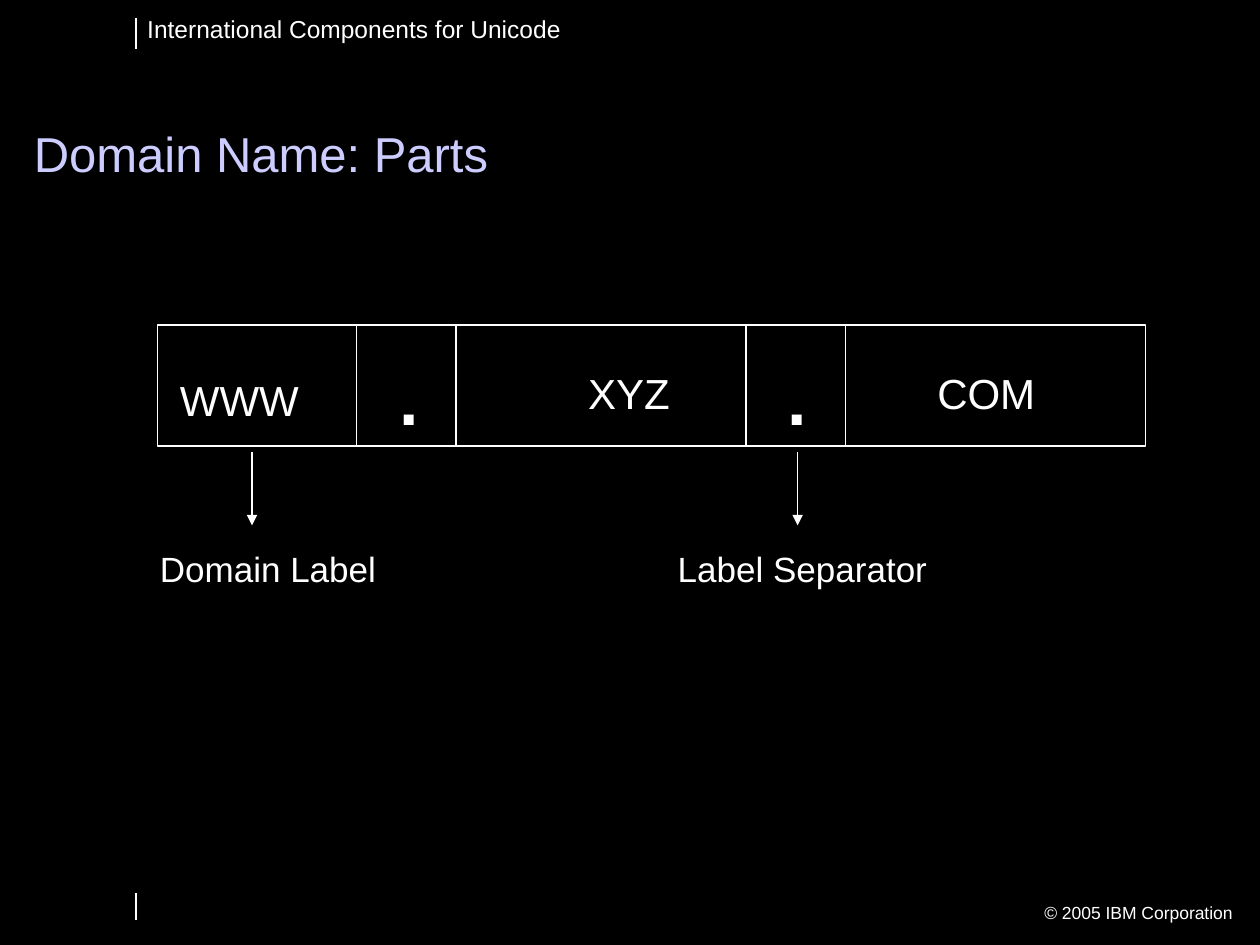
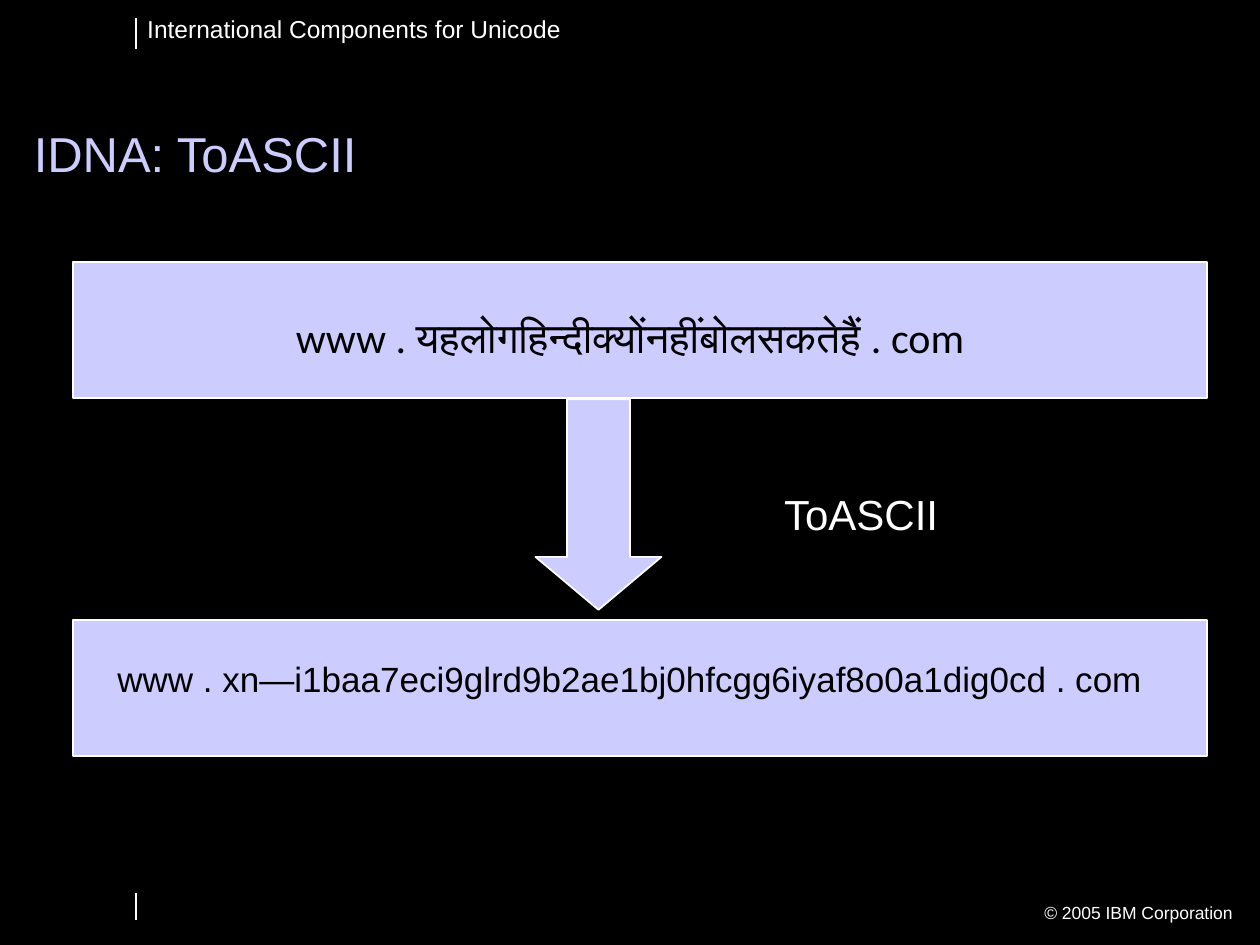
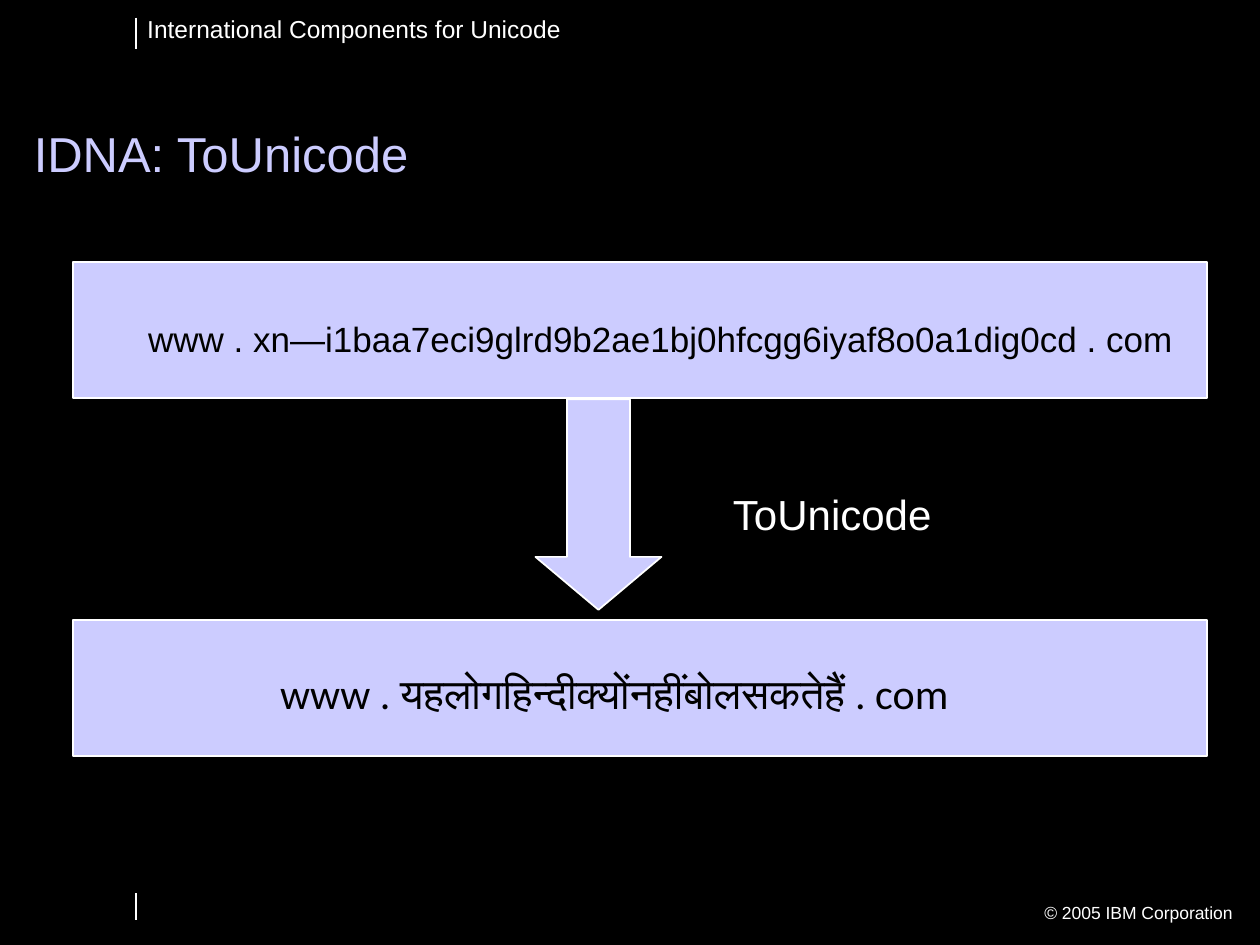
from typing import NamedTuple

from lxml.etree import SubElement
from pptx import Presentation
from pptx.dml.color import RGBColor
from pptx.enum.shapes import MSO_CONNECTOR, MSO_SHAPE
from pptx.enum.text import MSO_ANCHOR, PP_ALIGN
from pptx.oxml.ns import qn
from pptx.shapes.autoshape import Shape
from pptx.slide import Slide
from pptx.util import Inches, Pt

HUES = {"black": "000000", "white": "FFFFFF", "lilac": "CCCCFF"}
LEFT, MID, RIGHT = PP_ALIGN.LEFT, PP_ALIGN.CENTER, PP_ALIGN.RIGHT
HINDI = "www . यहलोगहिन्दीक्योंनहींबोलसकतेहैं . com"
CODED = "www . xn—i1baa7eci9glrd9b2ae1bj0hfcgg6iyaf8o0a1dig0cd . com"


class Box(NamedTuple):
    left: float
    top: float
    width: float
    height: float


class Label(NamedTuple):
    text: str
    box: Box
    size: float = 24
    hue: str = "white"
    align: PP_ALIGN = LEFT
    font: str = "Arial"
    bold: bool = False
    wrap: bool = True
    fill: str = ""
    anchor: MSO_ANCHOR = MSO_ANCHOR.TOP
    lead: float = 1


class Rule(NamedTuple):
    left: float
    top: float
    end: float
    width: float = 0.75
    arrow: bool = False


class Change(NamedTuple):
    title: str
    source: Label
    result: Label
    step: Label


FRAME_TEXT = (
    Label("International Components for Unicode", Box(1.07, 0.06, 3.49, 0.33), 14, wrap=False),
    Label("© 2005 IBM Corporation", Box(6.26, 7.11, 3.62, 0.27), 10, align=RIGHT),
)
FRAME_RULES = (Rule(1.08, 0.14, 0.39, 1), Rule(1.08, 7.09, 7.3, 1))

STRIP = Box(1.25, 2.58, 7.84, 0.96)
SPLITS = (2.83, 3.62, 5.92, 6.71)
PARTS = (
    Label("WWW", Box(1.33, 2.92, 1.19, 0.5)),
    Label("XYZ", Box(4.57, 2.87, 0.87, 0.5)),
    Label("COM", Box(7.34, 2.87, 1.19, 0.5)),
    *(Label(".", Box(left, 2.77, 0.32, 0.77), 40, bold=True) for left in (3.07, 6.15)),
    Label("Domain Label", Box(1.17, 4.3, 2.61, 0.44), 20),
    Label("Label Separator", Box(5.28, 4.3, 2.61, 0.44), 20),
)

CHANGES = (
    Change(
        "IDNA: ToASCII",
        Label(HINDI, Box(1.25, 2.42, 7.5, 0.5), 24, "black", MID, "Calibri"),
        Label(CODED, Box(0.79, 5.17, 8.42, 0.44), 20, "black", MID),
        Label("ToASCII", Box(5.67, 3.83, 2.33, 0.5), align=MID),
    ),
    Change(
        "IDNA: ToUnicode",
        Label(CODED, Box(1.06, 2.47, 8.37, 0.44), 20, "black", MID, fill="lilac"),
        Label(HINDI, Box(0.81, 5.25, 8.13, 0.5), 24, "black", MID, "Calibri", fill="lilac"),
        Label("ToUnicode", Box(5.48, 3.83, 2.25, 0.5), align=MID),
    ),
)


def paint(hue: str) -> RGBColor:
    return RGBColor.from_string(HUES[hue])


def write(slide: Slide, label: Label) -> None:
    shape = slide.shapes.add_textbox(*map(Inches, label.box))
    if label.fill:
        shape.fill.solid()
        shape.fill.fore_color.rgb = paint(label.fill)
    frame = shape.text_frame
    frame.word_wrap = label.wrap
    frame.vertical_anchor = label.anchor
    para = frame.paragraphs[0]
    para.alignment = label.align
    para.line_spacing = label.lead
    run = para.add_run()
    run.text = label.text
    run.font.name = label.font
    run.font.size = Pt(label.size)
    run.font.bold = label.bold
    run.font.color.rgb = paint(label.hue)


def draw_rule(slide: Slide, rule: Rule) -> None:
    ends = map(Inches, (rule.left, rule.top, rule.left, rule.end))
    line = slide.shapes.add_connector(MSO_CONNECTOR.STRAIGHT, *ends)
    line.line.color.rgb = paint("white")
    line.line.width = Pt(rule.width)
    if rule.arrow:
        SubElement(line.line._get_or_add_ln(), qn("a:tailEnd"), type="triangle")
    SubElement(line._element.spPr, qn("a:effectLst"))


def draw_block(slide: Slide, kind: MSO_SHAPE, box: Box, hue: str, width: float = 1) -> Shape:
    shape = slide.shapes.add_shape(kind, *map(Inches, box))
    shape.shadow.inherit = False
    shape.fill.solid()
    shape.fill.fore_color.rgb = paint(hue)
    shape.line.color.rgb = paint("white")
    shape.line.width = Pt(width)
    return shape


def start_slide(deck: Presentation, title: str) -> Slide:
    slide = deck.slides.add_slide(deck.slide_layouts[6])
    for label in FRAME_TEXT:
        write(slide, label)
    for rule in FRAME_RULES:
        draw_rule(slide, rule)
    write(slide, Label(title, Box(0.17, 0.95, 9.02, 0.55), 28, "lilac",
                       anchor=MSO_ANCHOR.BOTTOM, lead=0.9))
    return slide


def add_parts(deck: Presentation) -> None:
    slide = start_slide(deck, "Domain Name: Parts")
    draw_block(slide, MSO_SHAPE.RECTANGLE, STRIP, "black", 0.75)
    for label in PARTS:
        write(slide, label)
    for left in SPLITS:
        draw_rule(slide, Rule(left, STRIP.top, STRIP.top + STRIP.height))
    for left in (2, 6.33):
        draw_rule(slide, Rule(left, 3.59, 4.17, arrow=True))


def add_change(deck: Presentation, change: Change) -> None:
    slide = start_slide(deck, change.title)
    for top in (4.92, 2.08):
        draw_block(slide, MSO_SHAPE.RECTANGLE, Box(0.58, top, 9, 1.08), "lilac")
    write(slide, change.source)
    write(slide, change.result)
    arrow = draw_block(slide, MSO_SHAPE.DOWN_ARROW, Box(4.25, 3.17, 1, 1.67), "lilac")
    arrow.adjustments[0] = 0.5
    arrow.adjustments[1] = 0.42
    write(slide, change.step)


def main() -> None:
    deck = Presentation()
    deck.slide_width = Inches(10)
    deck.slide_height = Inches(7.5)
    back = deck.slide_master.background.fill
    back.solid()
    back.fore_color.rgb = paint("black")
    add_parts(deck)
    for change in CHANGES:
        add_change(deck, change)
    deck.save("out.pptx")


if __name__ == "__main__":
    main()
